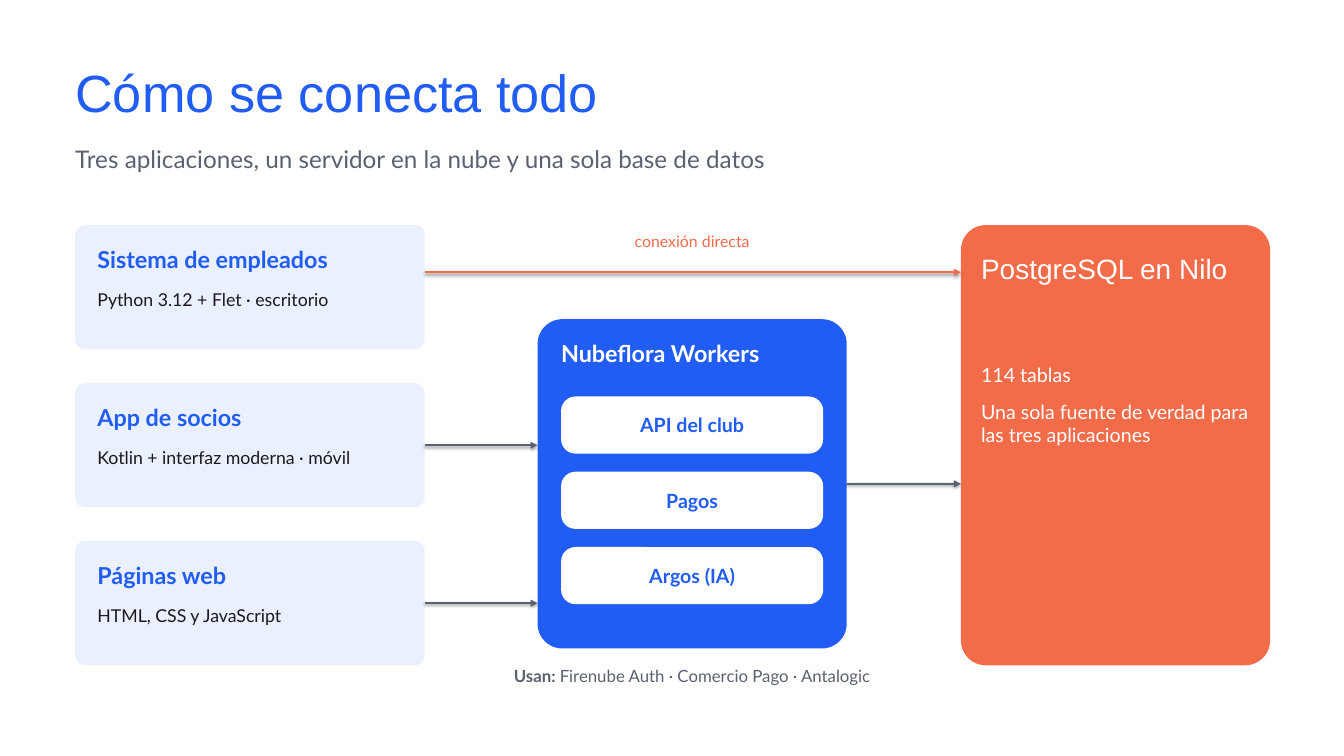
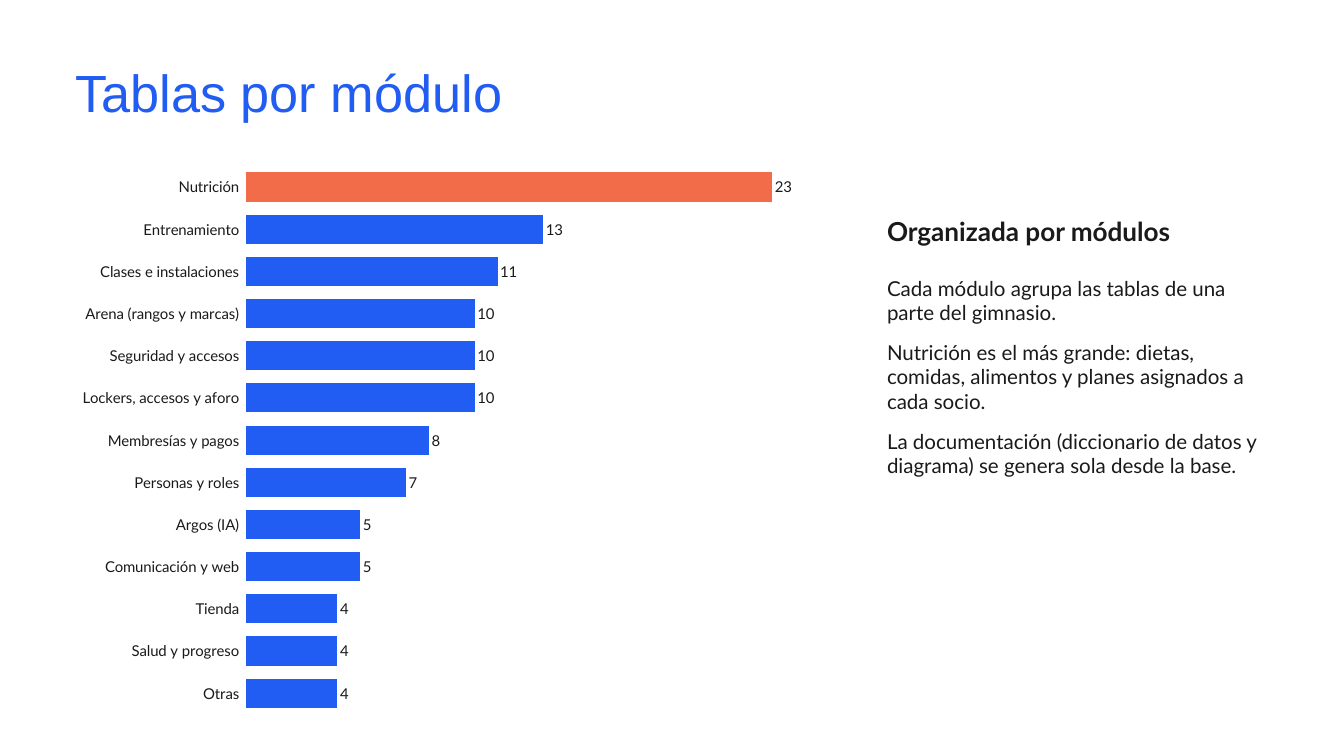
from lxml import etree
from pptx import Presentation
from pptx.chart.data import CategoryChartData
from pptx.dml.color import RGBColor
from pptx.enum.chart import XL_CHART_TYPE, XL_LABEL_POSITION
from pptx.enum.shapes import MSO_CONNECTOR, MSO_SHAPE
from pptx.enum.text import MSO_ANCHOR, MSO_AUTO_SIZE, PP_ALIGN
from pptx.oxml.ns import qn
from pptx.util import Pt

PX = 9144
ROUND = MSO_SHAPE.ROUNDED_RECTANGLE
LINE = MSO_CONNECTOR.STRAIGHT
BAR = XL_CHART_TYPE.BAR_CLUSTERED
OUT = XL_LABEL_POSITION.OUTSIDE_END
LEFT, MID = PP_ALIGN.LEFT, PP_ALIGN.CENTER
TOP, CORE = MSO_ANCHOR.TOP, MSO_ANCHOR.MIDDLE
GROW, FIXED = MSO_AUTO_SIZE.SHAPE_TO_FIT_TEXT, MSO_AUTO_SIZE.NONE

BLUE, CORAL, PALE = "215DF2", "F36C4A", "EAF0FE"
GRAY, INK, WHITE = "5B6170", "1A1A1A", "FFFFFF"
HEAD, BODY = "Arial", "Lato"
rgb = RGBColor.from_string


def put(page, at, text="", lead="", size=21, face=BODY, color=INK, bold=False,
        align=LEFT, anchor=TOP, gap=0, fill=None, curve=0.08):
    spot = [n * PX for n in at]
    if fill:
        item = page.shapes.add_shape(ROUND, *spot)
        item.adjustments[0] = curve
        item.shadow.inherit = False
        item.fill.solid()
        item.fill.fore_color.rgb = rgb(fill)
        item.line.fill.background()
    else:
        item = page.shapes.add_textbox(*spot)
    if not text:
        return item
    frame = item.text_frame
    frame.word_wrap = True
    frame.auto_size = FIXED if fill else GROW
    frame.vertical_anchor = anchor
    frame.margin_left = frame.margin_right = 0
    frame.margin_top = frame.margin_bottom = 0
    rows = text.split("\n")
    for i, row in enumerate(rows):
        para = frame.paragraphs[0] if i == 0 else frame.add_paragraph()
        para.alignment = align
        if gap and i < len(rows) - 1:
            para.space_after = Pt(gap)
        for part, heavy in ((lead, True), (row, bold)):
            if part:
                run = para.add_run()
                run.text = part
                run.font.size = Pt(size)
                run.font.name = face
                run.font.bold = heavy
                run.font.color.rgb = rgb(color)
    return item


def join(page, start, end, color=GRAY, drop=None):
    y = start.top + start.height // 2 if drop is None else drop * PX
    line = page.shapes.add_connector(LINE, start.left + start.width, y, end.left, y)
    if drop is None:
        line.begin_connect(start, 3)
    line.line.width = Pt(2.5)
    line.line.color.rgb = rgb(color)
    etree.SubElement(line.line._get_or_add_ln(), qn("a:tailEnd"), type="triangle")


deck = Presentation()
deck.slide_width, deck.slide_height = 2000 * PX, 1125 * PX
pages = []
for title in ("Cómo se conecta todo", "Tablas por módulo"):
    page = deck.slides.add_slide(deck.slide_layouts[6])
    put(page, (112, 90, 1750, 130), title, size=56, face=HEAD, color=BLUE)
    pages.append(page)
flow, stats = pages

put(flow, (112, 215, 1700, 70),
    "Tres aplicaciones, un servidor en la nube y una sola base de datos",
    size=26, color=GRAY)

apps = [
    ("Sistema de empleados", "Python 3.12 + Flet · escritorio"),
    ("App de socios", "Kotlin + interfaz moderna · móvil"),
    ("Páginas web", "HTML, CSS y JavaScript"),
]
cards = []
for i, (name, tech) in enumerate(apps):
    y = 335 + 235 * i
    cards.append(put(flow, (112, y, 520, 185), fill=PALE))
    put(flow, (145, y + 30, 460, 60), name, size=25, color=BLUE, bold=True)
    put(flow, (145, y + 95, 460, 70), tech, size=19)

cloud = put(flow, (800, 475, 460, 490), fill=BLUE)
put(flow, (835, 505, 400, 60), "Nubeflora Workers", size=25, color=WHITE, bold=True)
for i, name in enumerate(("API del club", "Pagos", "Argos (IA)")):
    put(flow, (835, 590 + 112 * i, 390, 85), name, color=BLUE, bold=True,
        align=MID, anchor=CORE, fill=WHITE, curve=0.25)

base = put(flow, (1430, 335, 460, 655), fill=CORAL)
put(flow, (1460, 375, 400, 120), "PostgreSQL en Nilo", size=30, face=HEAD, color=WHITE)
put(flow, (1460, 540, 400, 390),
    "114 tablas\nUna sola fuente de verdad para las tres aplicaciones",
    color=WHITE, gap=14)

put(flow, (690, 990, 680, 90), "Firenube Auth · Comercio Pago · Antalogic",
    lead="Usan: ", size=18, color=GRAY, align=MID)
put(flow, (690, 345, 680, 50), "conexión directa", size=17, color=CORAL, align=MID)

join(flow, cards[0], base, color=CORAL, drop=405)
for card in cards[1:]:
    join(flow, card, cloud)
join(flow, cloud, base)

counts = {
    "Otras": 4,
    "Salud y progreso": 4,
    "Tienda": 4,
    "Comunicación y web": 5,
    "Argos (IA)": 5,
    "Personas y roles": 7,
    "Membresías y pagos": 8,
    "Lockers, accesos y aforo": 10,
    "Seguridad y accesos": 10,
    "Arena (rangos y marcas)": 10,
    "Clases e instalaciones": 11,
    "Entrenamiento": 13,
    "Nutrición": 23,
}
data = CategoryChartData()
data.categories = list(counts)
data.add_series("Series 1", list(counts.values()))
spot = [n * PX for n in (100, 230, 1140, 850)]
chart = stats.shapes.add_chart(BAR, *spot, data).chart
chart.has_legend = chart.has_title = False
chart.font.size = Pt(18)
chart.font.name = "Calibri"
chart.font.color.rgb = rgb("000000")

scale = chart.value_axis
scale.visible = scale.has_major_gridlines = False
scale.minimum_scale, scale.maximum_scale = 0, 25
names = chart.category_axis
names.format.line.fill.background()

plot = chart.plots[0]
plot.gap_width = 45
plot.vary_by_categories = False
bars = plot.series[0]
top = bars.points[len(counts) - 1]
for part, color in ((bars, BLUE), (top, CORAL)):
    part.format.fill.solid()
    part.format.fill.fore_color.rgb = rgb(color)
tags = bars.data_labels
tags.show_value = True
tags.position = OUT
for font in (names.tick_labels.font, tags.font):
    font.size = Pt(16)
    font.name = BODY
    font.color.rgb = rgb(INK)

put(stats, (1320, 320, 580, 70), "Organizada por módulos", size=28, bold=True)
put(stats, (1320, 410, 580, 550),
    "Cada módulo agrupa las tablas de una parte del gimnasio.\n"
    "Nutrición es el más grande: dietas, comidas, alimentos y planes "
    "asignados a cada socio.\n"
    "La documentación (diccionario de datos y diagrama) se genera sola "
    "desde la base.", size=22, gap=16)

deck.save("out.pptx")
